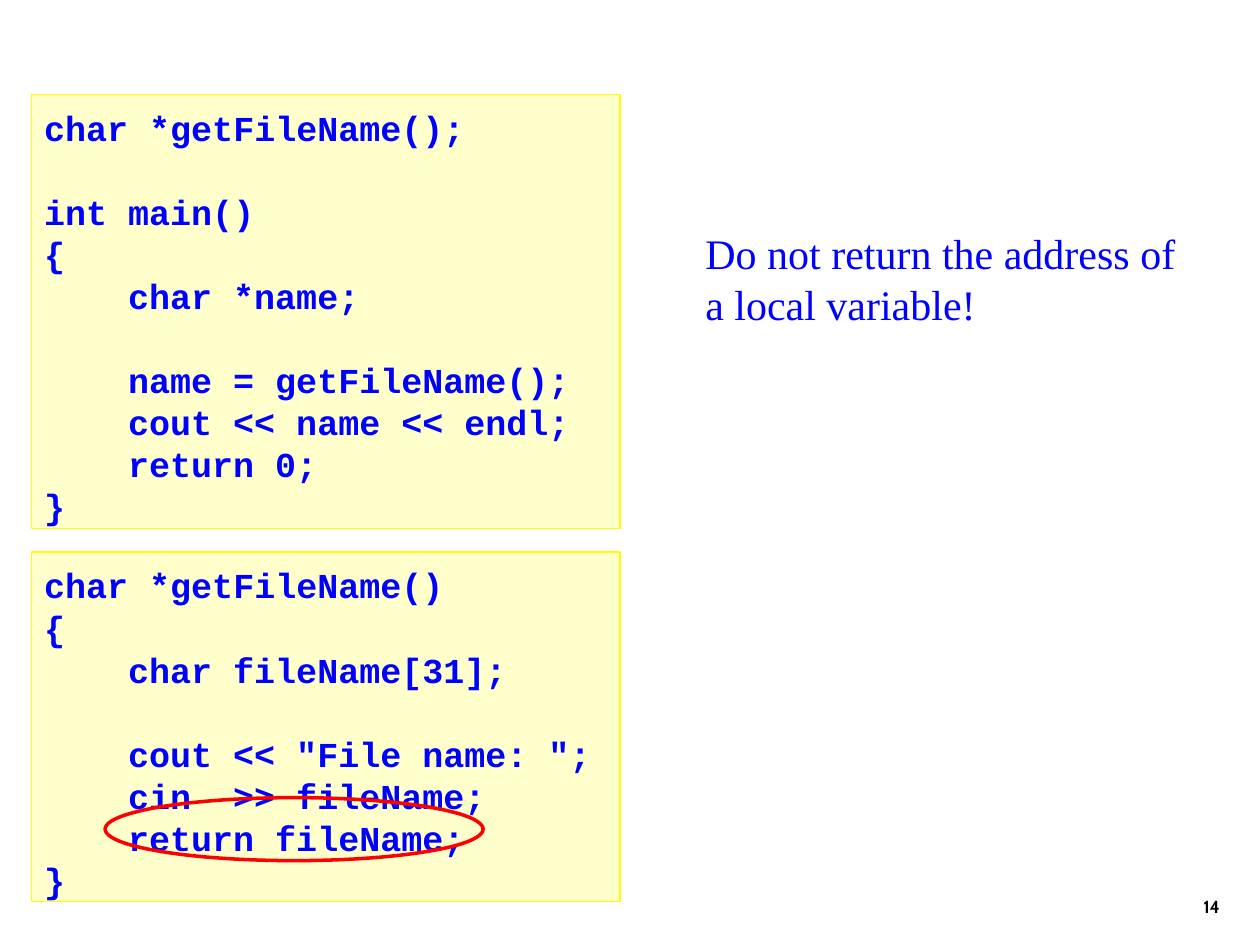
from pptx import Presentation
from pptx.dml.color import RGBColor
from pptx.enum.shapes import MSO_SHAPE
from pptx.enum.text import MSO_ANCHOR, PP_ALIGN
from pptx.util import Cm, Pt

RECT, OVAL = MSO_SHAPE.RECTANGLE, MSO_SHAPE.OVAL
TOP, LOW = MSO_ANCHOR.TOP, MSO_ANCHOR.BOTTOM
LEFT, RIGHT = PP_ALIGN.LEFT, PP_ALIGN.RIGHT
BLUE = RGBColor(0x00, 0x00, 0xFF)
CREAM = RGBColor(0xFF, 0xFF, 0xCC)
GOLD = RGBColor(0xFF, 0xFF, 0x00)
RED = RGBColor(0xFF, 0x00, 0x00)
BLACK = RGBColor(0x00, 0x00, 0x00)
STEP = Pt(48)  # four characters of code

MAIN = """char *getFileName();

int main()
{
    char *name;

    name = getFileName();
    cout << name << endl;
    return 0;
}"""

FUNC = """char *getFileName()
{
    char fileName[31];

    cout << "File name: ";
    cin  >> fileName;
    return fileName;
}"""


def write(shape, text, font, size, color, bold=False, align=LEFT,
          anchor=TOP, pitch=None, inset=0.13):
    """Fill a shape with lines; an empty line becomes space before the next."""
    frame = shape.text_frame
    frame.word_wrap = True
    frame.vertical_anchor = anchor
    frame.margin_left = frame.margin_right = Cm(0.25)
    frame.margin_top, frame.margin_bottom = Cm(inset), Cm(0.13)
    para, gap = frame.paragraphs[0], False
    for num, line in enumerate(text.split("\n")):
        if not line:
            gap = True
            continue
        if num:
            para = frame.add_paragraph()
        para.alignment = align
        if pitch:
            para.line_spacing = Pt(pitch)
        if gap:
            para.space_before = Pt(pitch)
            gap = False
        if line.startswith(" "):
            para._p.get_or_add_pPr().set("marL", str(STEP))
        run = para.add_run()
        run.text = line.strip()
        run.font.name, run.font.size = font, Pt(size)
        run.font.bold, run.font.color.rgb = bold, color


def outline(slide, kind, box, color, width):
    shape = slide.shapes.add_shape(kind, *map(Cm, box))
    shape.shadow.inherit = False
    shape.fill.background()
    shape.line.color.rgb, shape.line.width = color, Pt(width)
    return shape


def code(slide, box, text):
    panel = outline(slide, RECT, box, GOLD, 0.75)
    panel.fill.solid()
    panel.fill.fore_color.rgb = CREAM
    write(panel, text, "Courier New", 20, BLUE, bold=True, pitch=24, inset=0.24)


def ring(slide, box):
    """Circle the faulty return line inside the given code box."""
    left, top = box[:2]
    outline(slide, OVAL, (left + 1.48, top + 4.95, 7.62, 1.27), RED, 2)


def label(slide, box, text, **style):
    write(slide.shapes.add_textbox(*map(Cm, box)), text, **style)


def main():
    deck = Presentation()
    deck.slide_width, deck.slide_height = Cm(25.4), Cm(19.05)
    slide = deck.slides.add_slide(deck.slide_layouts[6])

    # Page number
    label(slide, (19.56, 17.35, 5.28, 1.27), "14", font="Cabin", size=10,
          color=BLACK, bold=True, align=RIGHT, anchor=LOW)

    # Code panels, the second with its marked line
    lower = (0.64, 11.13, 11.86, 7.04)
    code(slide, (0.64, 1.91, 11.86, 8.74), MAIN)
    code(slide, lower, FUNC)
    ring(slide, lower)

    # Advice
    label(slide, (13.97, 4.45, 10.36, 2.29),
          "Do not return the address of\na local variable!",
          font="Times New Roman", size=24, color=BLUE, pitch=29)

    deck.save("out.pptx")


if __name__ == "__main__":
    main()
